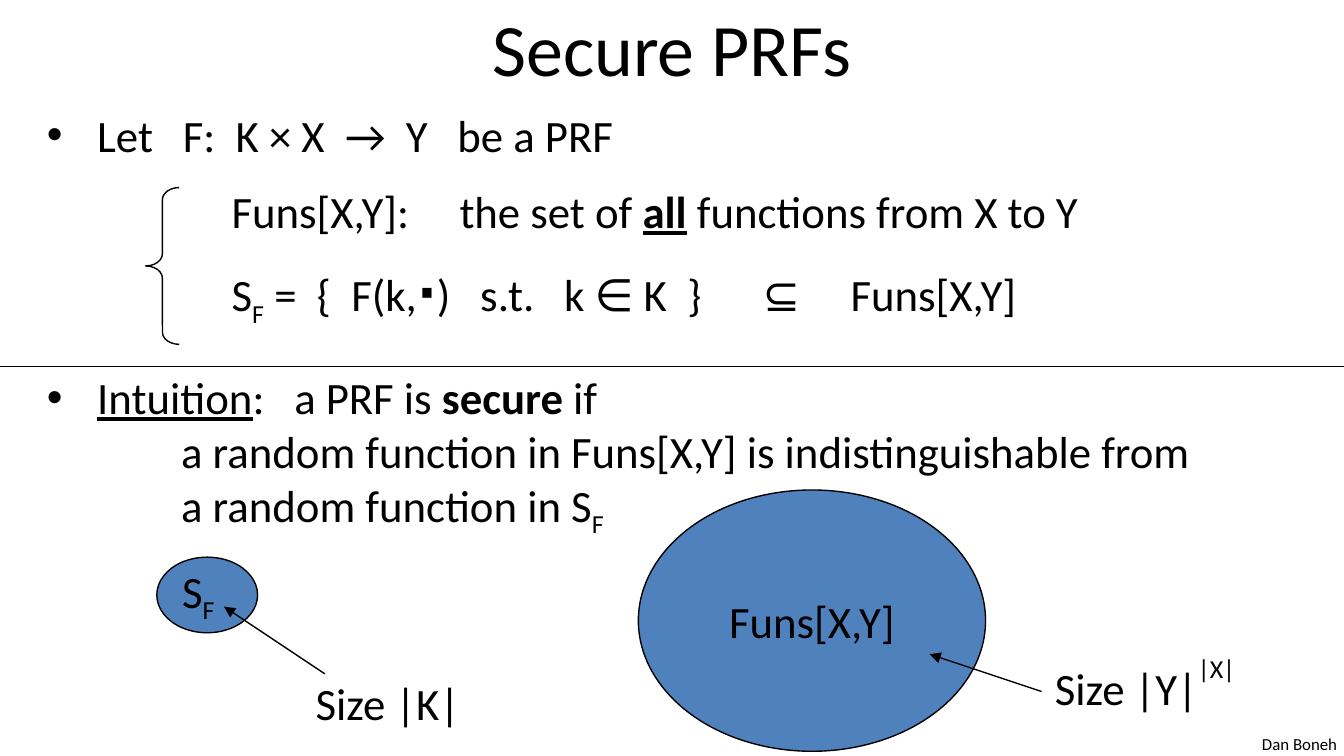
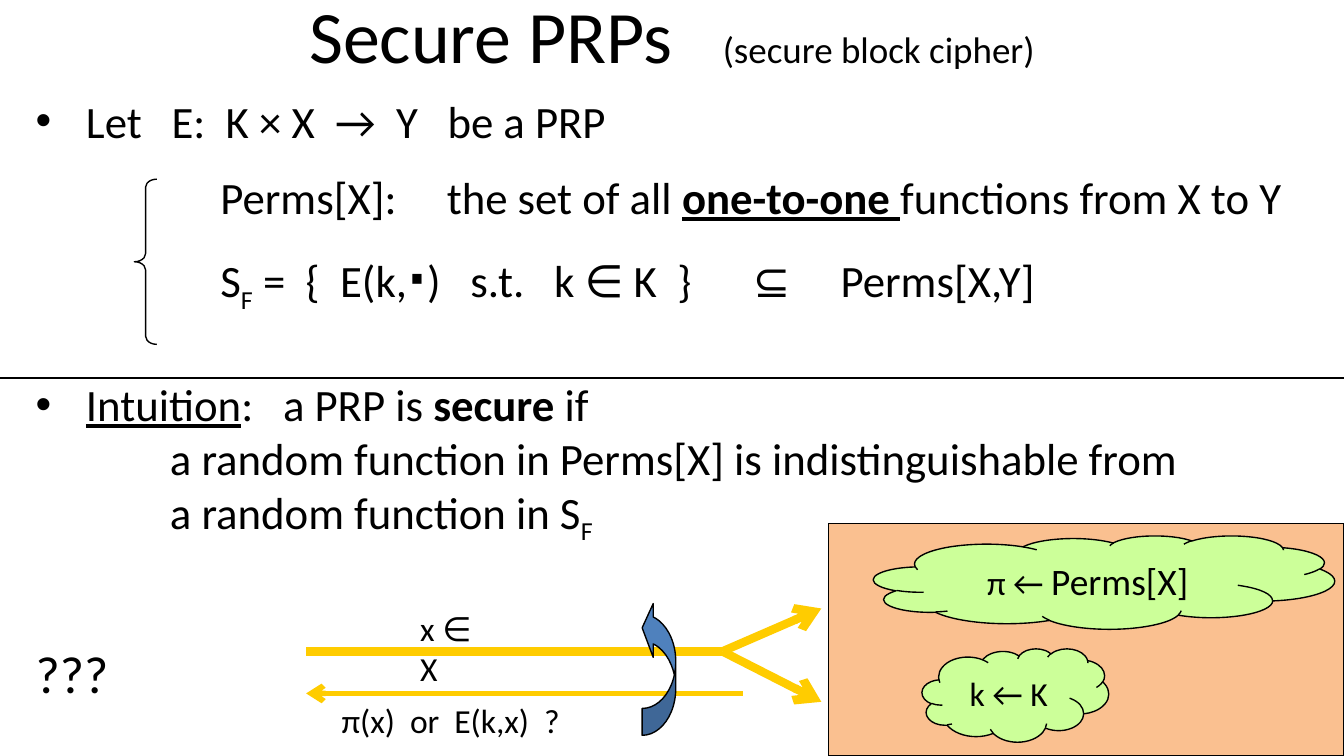
from dataclasses import dataclass

from lxml.etree import SubElement
from pptx import Presentation
from pptx.dml.color import RGBColor
from pptx.enum.shapes import MSO_CONNECTOR as Connector, MSO_SHAPE as Preset
from pptx.enum.text import MSO_ANCHOR as Anchor, PP_ALIGN as Align
from pptx.oxml.ns import qn
from pptx.util import Pt


@dataclass(frozen=True)
class Theme:
    font: str = "Calibri"
    ink: str = "000000"
    blue: str = "4F81BD"
    orange: str = "FAC090"
    green: str = "CCFF99"
    yellow: str = "FFCC00"
    title: float = 39.6
    subtitle: float = 19.8
    large: float = 28
    body: float = 24
    medium: float = 20
    small: float = 18
    footer: float = 9
    hairline: float = 0.75
    space_width: float = 0.23  # width of a space, in ems


@dataclass(frozen=True)
class Box:
    left: float
    top: float
    width: float
    height: float

    def inner(self, left, top, width, height):
        return Box(self.left + left, self.top + top, width, height)

    def point(self, x, y):
        return self.left + x, self.top + y

    @property
    def lengths(self):
        return [Pt(value) for value in (self.left, self.top, self.width, self.height)]


THEME = Theme()
SLIDE = Box(0, 0, 720, 405)
HANGING = 27
SET_INDENT = 99
QUOTE_INDENT = 72

# Run styles
BOLD = {"bold": True}
UNDERLINE = {"underline": True}
STRONG = {"bold": True, "underline": True}
SUBSCRIPT = {"baseline": -25}
SUPERSCRIPT = {"baseline": 60}
DOT = ("⋅", {"size": THEME.large, "bold": True})


# Text

def add_run(paragraph, text, size, bold=False, underline=False, baseline=0, spacing=0):
    run = paragraph.add_run()
    run.text = text
    font = run.font
    font.name, font.size = THEME.font, Pt(size)
    font.bold, font.underline = bold, underline
    font.color.rgb = RGBColor.from_string(THEME.ink)
    properties = run._r.get_or_add_rPr()
    if baseline:
        properties.set("baseline", str(baseline * 1000))
    if spacing:
        properties.set("spc", str(round(spacing * 100)))


def add_pieces(paragraph, pieces, size):
    """A string is a plain run, a pair a styled run, a number a gap in points."""
    for piece in pieces:
        if isinstance(piece, str):
            add_run(paragraph, piece, size)
        elif isinstance(piece, tuple):
            text, style = piece
            add_run(paragraph, text, **{"size": size, **style})
        else:
            add_run(paragraph, " ", size, spacing=piece - THEME.space_width * size)


def add_text(slide, box, pieces, size=THEME.body, wrap=False,
             align=Align.LEFT, anchor=Anchor.TOP):
    frame = slide.shapes.add_textbox(*box.lengths).text_frame
    frame.word_wrap, frame.vertical_anchor = wrap, anchor
    paragraph = frame.paragraphs[0]
    paragraph.alignment = align
    add_pieces(paragraph, pieces, size)


def indent_paragraph(paragraph, indent, bullet):
    properties = paragraph._p.get_or_add_pPr()
    properties.set("marL", str(Pt(indent)))
    properties.set("indent", str(Pt(-HANGING if bullet else 0)))
    if bullet:
        SubElement(properties, qn("a:buFont")).set("typeface", "Arial")
        SubElement(properties, qn("a:buChar")).set("char", "•")
    else:
        SubElement(properties, qn("a:buNone"))


# Shapes and lines

def add_preset(slide, preset, box, fill=None, pieces=(), size=THEME.body,
               wrap=True, adjustments=()):
    shape = slide.shapes.add_shape(preset, *box.lengths)
    shape.shadow.inherit = False
    if fill:
        shape.fill.solid()
        shape.fill.fore_color.rgb = RGBColor.from_string(fill)
    else:
        shape.fill.background()
    shape.line.color.rgb = RGBColor.from_string(THEME.ink)
    shape.line.width = Pt(THEME.hairline)
    for index, value in enumerate(adjustments):
        shape.adjustments[index] = value
    if pieces:
        frame = shape.text_frame
        frame.word_wrap, frame.vertical_anchor = wrap, Anchor.MIDDLE
        frame.paragraphs[0].alignment = Align.CENTER
        add_pieces(frame.paragraphs[0], pieces, size)
    return shape


def add_line(slide, start, end, color=THEME.ink, width=THEME.hairline, head=None):
    ends = [Pt(value) for value in (*start, *end)]
    line = slide.shapes.add_connector(Connector.STRAIGHT, *ends)
    line.line.color.rgb = RGBColor.from_string(color)
    line.line.width = Pt(width)
    if head:
        SubElement(line.line._get_or_add_ln(), qn("a:tailEnd")).set("type", head)
    SubElement(line._element.spPr, qn("a:effectLst"))


# Parts that both slides share

def start_slide(presentation, title_box, title):
    slide = presentation.slides.add_slide(presentation.slide_layouts[6])
    add_text(slide, SLIDE.inner(669, 389.5, 55, 18), ["Dan Boneh"], THEME.footer)
    add_text(slide, title_box, title, THEME.title, True, Align.CENTER, Anchor.MIDDLE)
    return slide


def add_definition(slide, box, function, kind, family, description, superset,
                   intuition_gap):
    lines = [
        (0, HANGING, True,
         ["Let", 16, f"{function}:", 11, "K × X", 11, "→", 11, "Y", 16, f"be a {kind}"]),
        (12, SET_INDENT, False, [f"{family}:", 27, *description]),
        (12, SET_INDENT, False,
         ["S", ("F", SUBSCRIPT), " =", 11, "{", 11, f"{function}(k,", DOT, ")", 16,
          "s.t.", 16, "k ∈ K", 11, "}", 33, "⊆", 27, superset]),
        (intuition_gap, HANGING, True,
         [("Intuition", UNDERLINE), ":", 16, f"a {kind} is ", ("secure", BOLD), " if"]),
        (0, QUOTE_INDENT, False,
         [f"a random function in {family} is indistinguishable from"]),
        (0, QUOTE_INDENT, False, ["a random function in S", ("F", SUBSCRIPT)]),
    ]
    frame = slide.shapes.add_textbox(*box.lengths).text_frame
    frame.word_wrap = True
    for index, (space, indent, bullet, pieces) in enumerate(lines):
        paragraph = frame.add_paragraph() if index else frame.paragraphs[0]
        if index:
            paragraph.space_before = Pt(space)
        indent_paragraph(paragraph, indent, bullet)
        add_pieces(paragraph, pieces, THEME.body)


def add_brace_and_divider(slide, brace_box, divider_y):
    add_preset(slide, Preset.LEFT_BRACE, brace_box, adjustments=(0.36, 0.5))
    add_line(slide, SLIDE.point(0, divider_y), SLIDE.point(SLIDE.width, divider_y))


# Secure PRFs

def add_small_set(slide, box):
    add_preset(slide, Preset.OVAL, box.inner(0, 0, 54, 40.5), THEME.blue)
    add_text(slide, box.inner(6.5, 0, 33, 36), ["S", ("F", SUBSCRIPT)])
    add_line(slide, box.point(90, 62.5), box.point(36, 26.5), head="triangle")
    add_text(slide, box.inner(78, 60, 93.5, 36), ["Size |K|"])


def add_large_set(slide, box):
    add_preset(slide, Preset.OVAL, box.inner(0, 0, 186, 140), THEME.blue,
               ["Funs[X,Y]"], wrap=False)
    add_line(slide, box.point(216, 108), box.point(156, 88), head="triangle")
    add_text(slide, box.inner(216, 83.5, 116, 37), ["Size |Y|", ("|X|", SUPERSCRIPT)])


def build_prf_slide(presentation):
    slide = start_slide(presentation, SLIDE.inner(36, 0, 648, 50), ["Secure PRFs"])
    add_definition(
        slide, SLIDE.inner(18, 54, 684, 351), "F", "PRF", "Funs[X,Y]",
        ["the set of ", ("all", STRONG), " functions from X to Y"], "Funs[X,Y]", 22.3)
    add_small_set(slide, SLIDE.inner(84, 298.5, 172, 96))
    add_large_set(slide, SLIDE.inner(342, 262.5, 332, 140))
    add_brace_and_divider(slide, SLIDE.inner(78, 100.5, 18, 84), 196.5)


# Secure PRPs

def add_challenger(slide, box):
    add_preset(slide, Preset.RECTANGLE, box, THEME.orange)
    add_preset(slide, Preset.CLOUD, box.inner(50, 67, 100, 50), THEME.green,
               ["k ← K"], THEME.small)
    add_preset(slide, Preset.CLOUD, box.inner(24, 6.5, 247, 50), THEME.green,
               ["π ← ", ("Perms[X]", {"size": THEME.medium})], THEME.small)


def add_exchange(slide, box):
    # Query, which forks towards the two clouds
    add_text(slide, box.inner(54, 0, 53, 29), ["x ∈ X"], THEME.small, wrap=True)
    fork = box.point(223, 27)
    add_line(slide, box.point(0, 27), fork, THEME.yellow, 4.5)
    for tip_y in (4, 54):
        add_line(slide, fork, box.point(276, tip_y), THEME.yellow, 4.5, "arrow")
    # Answer
    add_line(slide, box.point(234, 49.5), box.point(0, 49.5), THEME.yellow, 3, "arrow")
    add_text(slide, box.inner(12, 49.5, 133, 29),
             ["π(x)", 8, "or", 8, "E(k,x)", 8, "?"], THEME.small)


def add_repeat_arrow(slide, box):
    arrow = add_preset(slide, Preset.CURVED_LEFT_ARROW, box, THEME.blue,
                       adjustments=(0.8, 1.6, 0.33))
    arrow._element.spPr.find(qn("a:xfrm")).set("flipV", "1")


def build_prp_slide(presentation):
    slide = start_slide(
        presentation, SLIDE.inner(36, -7, 648, 50),
        ["Secure PRPs", 27, ("(secure block cipher)", {"size": THEME.subtitle})])
    add_definition(
        slide, SLIDE.inner(12, 46.5, 684, 346), "E", "PRP", "Perms[X]",
        ["the set of all ", ("one-to-one ", STRONG), "functions from X to Y"],
        "Perms[X,Y]", 33.6)
    add_brace_and_divider(slide, SLIDE.inner(72, 96, 12, 88.5), 202.5)
    add_challenger(slide, SLIDE.inner(444, 280.5, 276, 124.5))
    add_exchange(slide, SLIDE.inner(164, 322, 276, 79))
    add_text(slide, SLIDE.inner(12, 340, 54, 41), ["???"], THEME.large)
    add_repeat_arrow(slide, SLIDE.inner(344, 322, 18, 72))


def main():
    presentation = Presentation()
    presentation.slide_width = Pt(SLIDE.width)
    presentation.slide_height = Pt(SLIDE.height)
    build_prf_slide(presentation)
    build_prp_slide(presentation)
    presentation.save("out.pptx")


if __name__ == "__main__":
    main()
